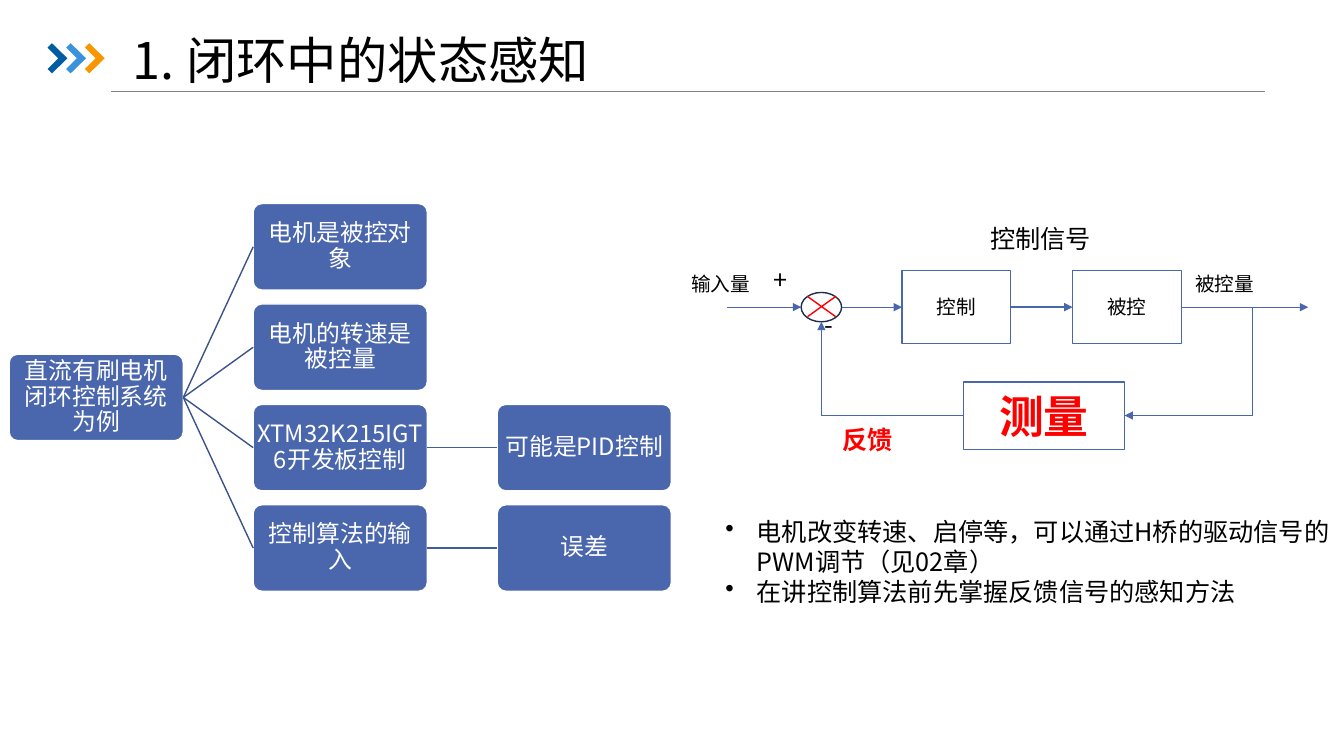
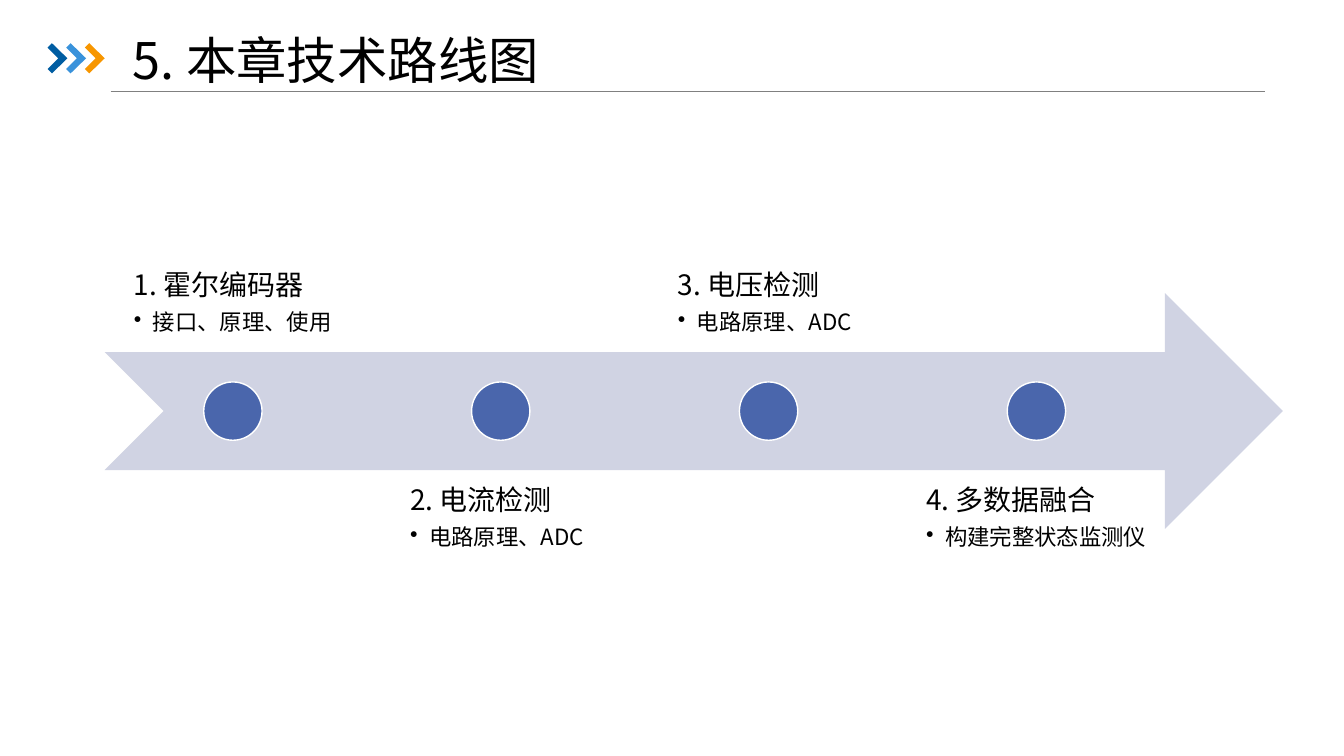
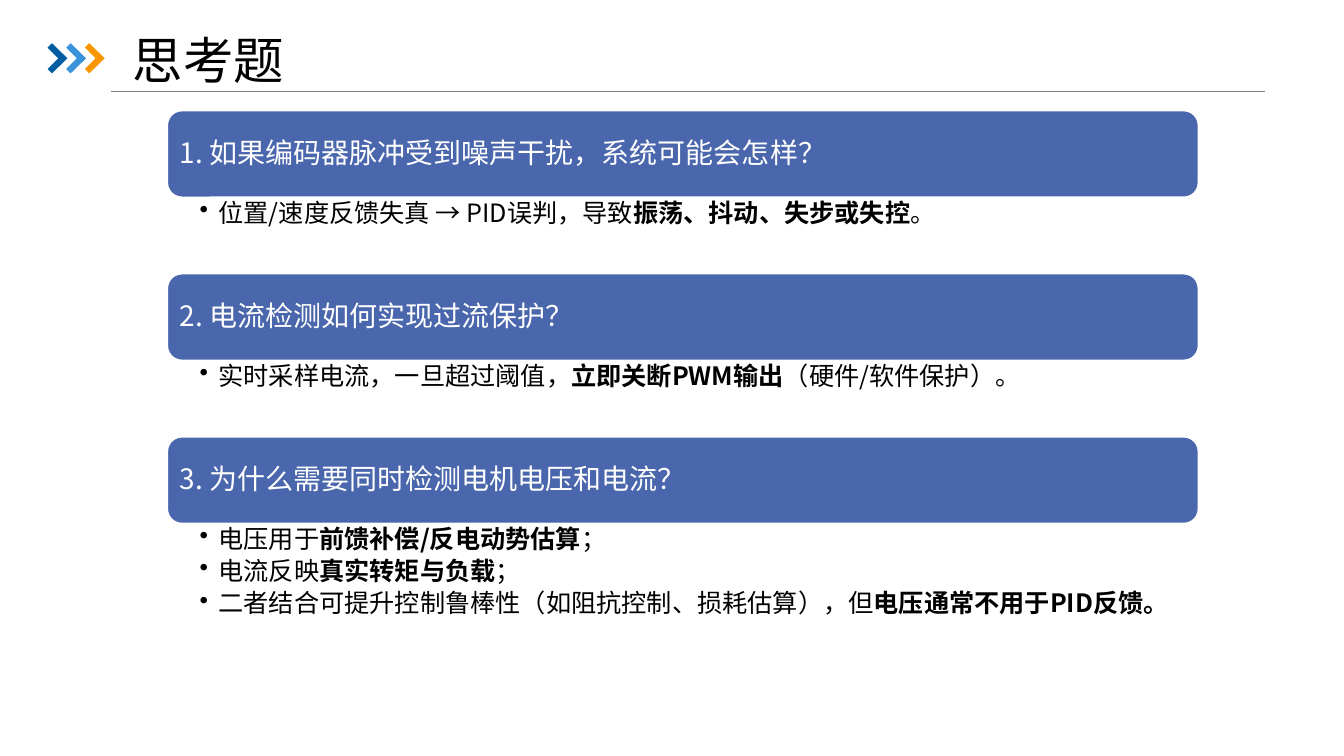
from lxml.etree import SubElement as Sub
from pptx import Presentation as Deck
from pptx.dml.color import RGBColor as RGB
from pptx.enum.shapes import MSO_CONNECTOR as Link, MSO_SHAPE as Kind
from pptx.enum.text import MSO_ANCHOR as Anchor, MSO_AUTO_SIZE as Fit, PP_ALIGN as Align
from pptx.oxml.ns import qn
from pptx.util import Cm, Pt

FONT = "Noto Sans CJK SC"
BLACK = RGB(0, 0, 0)
WHITE = RGB(0xFF, 0xFF, 0xFF)
RED = RGB(0xFF, 0, 0)
GRAY = RGB(0x80, 0x80, 0x80)
BLUE = RGB(0x4A, 0x66, 0xAC)
NAVY = RGB(0x20, 0x2D, 0x4B)
STEEL = RGB(0x3B, 0x52, 0x8A)
SLATE = RGB(0x43, 0x5D, 0x9C)
PALE = RGB(0xD0, 0xD3, 0xE3)
MARKS = (RGB(0, 0x5D, 0xA2), RGB(0x39, 0x92, 0xDB), RGB(0xF7, 0x96, 0))
BENDS = ((0, 0.11), (0.11, 0), (0.5, 0.38), (0.11, 0.76), (0, 0.65), (0.27, 0.38))


def say(shape, *paras, size=18, color=BLACK, bold=False, align=Align.LEFT,
        anchor=Anchor.TOP, pad=(0.25, 0.13, 0.25, 0.13), lead=1.0, gap=0, hang=0, first=0):
    """Write paragraphs; a (text, size) pair sets a size, ** toggles bold, bullets start at first."""
    frame = shape.text_frame
    frame.word_wrap = True
    frame.auto_size = Fit.NONE
    frame.vertical_anchor = anchor
    frame.margin_left, frame.margin_top, frame.margin_right, frame.margin_bottom = map(Cm, pad)
    for i, item in enumerate(paras):
        text, pts = item if isinstance(item, tuple) else (item, size)
        para = frame.add_paragraph() if i else frame.paragraphs[0]
        if hang and i >= first:
            props = para._p.get_or_add_pPr()
            props.set("marL", str(Cm(hang)))
            props.set("indent", str(-Cm(hang)))
            Sub(props, qn("a:buChar")).set("char", "•")
        para.alignment = align
        para.line_spacing = lead
        if i and gap:
            para.space_before = Pt(gap)
        for j, part in enumerate(text.split("**")):
            if part:
                run = para.add_run()
                run.text = part
                font = run.font
                font.size = Pt(pts)
                font.bold = bold or j % 2 == 1
                font.color.rgb = color
                font.name = FONT
                Sub(run._r.get_or_add_rPr(), qn("a:ea")).set("typeface", FONT)


def label(slide, x, y, w, h, *paras, **fmt):
    """Add a text box."""
    say(slide.shapes.add_textbox(Cm(x), Cm(y), Cm(w), Cm(h)), *paras, **fmt)


def form(slide, kind, x, y, w, h, fill=BLUE, edge=WHITE):
    """Add a filled preset shape."""
    shape = slide.shapes.add_shape(kind, Cm(x), Cm(y), Cm(w), Cm(h))
    paint(shape, fill, edge)
    return shape


def paint(shape, fill, edge):
    """Set fill and outline and drop the shadow."""
    shape.shadow.inherit = False
    shape.fill.solid()
    shape.fill.fore_color.rgb = fill
    if edge is None:
        shape.line.fill.background()
    else:
        shape.line.color.rgb = edge
        shape.line.width = Pt(1)


def line(slide, start, end, color=BLUE, width=0.5, arrow=False):
    """Draw a straight connector between two points."""
    wire = slide.shapes.add_connector(Link.STRAIGHT, *map(Cm, (*start, *end)))
    wire.line.color.rgb = color
    wire.line.width = Pt(width)
    props = wire._element.spPr
    if arrow:
        Sub(props.find(qn("a:ln")), qn("a:tailEnd")).set("type", "triangle")
    Sub(props, qn("a:effectLst"))
    return wire


def route(slide, *stops, **fmt):
    """Draw a path of connectors with an arrowhead at its end."""
    for i in range(1, len(stops)):
        line(slide, stops[i - 1], stops[i], arrow=i == len(stops) - 1, **fmt)


def page(deck, title):
    """Add a slide with chevrons, rule and title."""
    slide = deck.slides.add_slide(deck.slide_layouts[5])
    line(slide, (2.79, 2.31), (31.88, 2.31), GRAY)
    for i, color in enumerate(MARKS):
        dots = [(Cm(1.2 + 0.47 * i + x), Cm(1.09 + y)) for x, y in BENDS]
        path = slide.shapes.build_freeform(*dots[0])
        path.add_line_segments(dots[1:], close=True)
        paint(path.convert_to_shape(), color, None)
    head = slide.shapes.title
    head.left, head.top, head.width, head.height = map(Cm, (3.1, 1.04, 29.24, 1.09))
    say(head, title, size=36, anchor=Anchor.MIDDLE, lead=0.9)
    return slide


def tree(slide, x, y):
    """Draw the motor example as a tree."""
    def node(col, row, text):
        shape = form(slide, Kind.ROUNDED_RECTANGLE, x + 6.15 * col, y + 2.53 * row, 4.39, 2.18)
        shape.adjustments[0] = 0.1
        say(shape, text, size=17, color=WHITE, align=Align.CENTER,
            anchor=Anchor.MIDDLE, pad=(0.03,) * 4, lead=0.9)
        return shape

    def join(left, right, color):
        wire = line(slide, (0, 0), (1, 1), color, 1)
        wire.begin_connect(left, 3)
        wire.end_connect(right, 1)

    root = node(0, 1.5, "直流有刷电机闭环控制系统为例")
    rows = (("电机是被控对象", ""), ("电机的转速是被控量", ""),
            ("XTM32K215IGT6开发板控制", "可能是PID控制"), ("控制算法的输入", "误差"))
    for row, (text, leaf) in enumerate(rows):
        twig = node(1, row, text)
        join(root, twig, STEEL)
        if leaf:
            join(twig, node(2, row, leaf), SLATE)


def loop(slide, x, y):
    """Draw the feedback control loop."""
    def at(dx, dy):
        return x + dx, y + dy

    mid, low = 2.25, 4.98
    for dx, dy, w, h, text, fmt in (
            (5.56, 1.32, 2.74, 1.85, "控制", dict(size=14)),
            (9.86, 1.32, 2.74, 1.85, "被控", dict(size=14)),
            (7.11, 4.14, 4.06, 1.7, "测量", dict(size=32, color=RED, bold=True))):
        say(form(slide, Kind.RECTANGLE, *at(dx, dy), w, h, WHITE, BLUE), text,
            align=Align.CENTER, anchor=Anchor.MIDDLE, **fmt)
    form(slide, Kind.OVAL, *at(3.02, 1.88), 1.02, 0.74, WHITE, NAVY)
    for top, end in ((1.98, 2.49), (2.49, 1.98)):
        line(slide, at(3.18, top), at(3.89, end), RED, 1)
    for start, end, width in ((1.14, 3.02, 0.5), (4.04, 5.56, 0.5),
                              (8.3, 9.86, 1), (12.6, 15.8, 0.5)):
        route(slide, at(start, mid), at(end, mid), width=width)
    route(slide, at(7.11, low), at(3.53, low), at(3.53, 2.62))
    route(slide, at(14.4, mid), at(14.4, low), at(11.17, low))
    for dx, dy, w, text, fmt in (
            (7.54, 0, 3.4, "控制信号", {}),
            (0, 1.24, 2.1, "输入量", dict(size=14)),
            (12.7, 1.22, 3.4, "被控量", dict(size=14)),
            (2.08, 1.04, 1.6, "+", {}),
            (3.35, 2.18, 1.42, "-", {}),
            (3.81, 5.08, 2, "反馈", dict(color=RED, bold=True))):
        label(slide, *at(dx, dy), w, 1.02, text, **fmt)


def road(slide, x, y):
    """Draw the road map arrow with its four steps."""
    form(slide, Kind.NOTCHED_RIGHT_ARROW, x, y, 29.69, 5.94, PALE, None)
    mid, dot, tall = y + 2.97, 1.47, 3
    steps = (("1. 霍尔编码器", "接口、原理、使用", 4.99), ("2. 电流检测", "电路原理、ADC", 4.57),
             ("3. 电压检测", "电路原理、ADC", 4.57), ("4. 多数据融合", "构建完整状态监测仪", 5.56))
    for i, (name, note, wide) in enumerate(steps):
        hub = x + 3.23 + 6.75 * i
        form(slide, Kind.OVAL, hub - dot / 2, mid - dot / 2, dot, dot)
        top = mid + 1.9 if i % 2 else mid - 1.9 - tall
        label(slide, hub - wide / 2, top, 6.43, tall, (name, 20), (note, 16),
              anchor=Anchor.TOP if i % 2 else Anchor.BOTTOM,
              pad=(0,) * 4, lead=0.9, gap=7, hang=0.48, first=1)


def quiz(slide, x, y, w):
    """Stack the questions with their answers."""
    pairs = (
        ("1. 如果编码器脉冲受到噪声干扰，系统可能会怎样？",
         ("位置/速度反馈失真 → PID误判，导致**振荡、抖动、失步或失控**。",)),
        ("2. 电流检测如何实现过流保护？",
         ("实时采样电流，一旦超过阈值，**立即关断PWM输出**（硬件/软件保护）。",)),
        ("3. 为什么需要同时检测电机电压和电流？",
         ("电压用于**前馈补偿/反电动势估算**；", "电流反映**真实转矩与负载**；",
          "二者结合可提升控制鲁棒性（如阻抗控制、损耗估算），但**电压通常不用于PID反馈。**")))
    for i, (ask, facts) in enumerate(pairs):
        top = y + 4.11 * i
        say(form(slide, Kind.ROUNDED_RECTANGLE, x, top, w, 2.18), ask, size=20, color=WHITE,
            anchor=Anchor.MIDDLE, pad=(0.2,) * 4, lead=0.9)
        label(slide, x, top + 2.18, w, 1.11 + 0.82 * len(facts), *facts,
              pad=(0.81, 0.08, 0.36, 0.08), lead=0.9, gap=3.6, hang=0.48)


def main():
    """Build the three slides."""
    deck = Deck()
    deck.slide_width, deck.slide_height = Cm(33.87), Cm(19.05)
    slide = page(deck, "1. 闭环中的状态感知")
    tree(slide, 0.23, 5.13)
    loop(slide, 17.17, 5.49)
    label(slide, 18.03, 12.88, 15.82, 2.57,
          "电机改变转速、启停等，可以通过H桥的驱动信号的PWM调节（见02章）",
          "在讲控制算法前先掌握反馈信号的感知方法", hang=0.79)
    road(page(deck, "5. 本章技术路线图"), 2.64, 7.39)
    quiz(page(deck, "思考题"), 4.22, 2.79, 25.98)
    deck.save("out.pptx")


if __name__ == "__main__":
    main()
